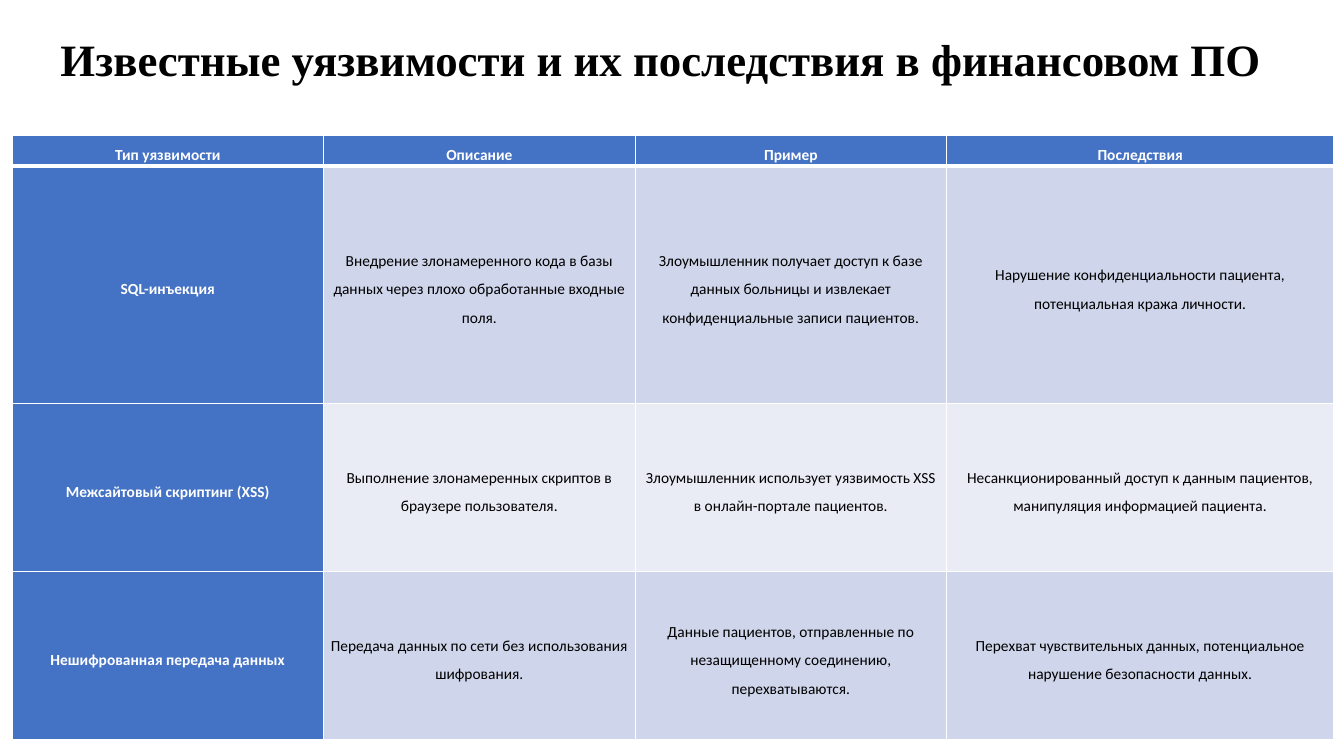
from lxml import etree
from pptx import Presentation
from pptx.dml.color import RGBColor
from pptx.enum.text import MSO_ANCHOR, MSO_AUTO_SIZE, PP_ALIGN
from pptx.oxml.ns import qn
from pptx.util import Inches, Pt

LEFT, CENTER = PP_ALIGN.LEFT, PP_ALIGN.CENTER
TOP, MIDDLE = MSO_ANCHOR.TOP, MSO_ANCHOR.MIDDLE
NO_AUTOFIT = MSO_AUTO_SIZE.NONE

THEME = {
    "ink": "000000",
    "white": "FFFFFF",
    "accent": "4472C4",
    "bands": ["CFD5EA", "E9EBF5"],
    "title_font": "Times New Roman",
    "table_font": "Calibri",
    "title_size": Pt(32),
    "table_size": Pt(11),
    "thin_rule": Pt(1),
    "header_rule": Pt(3),
}


def apply(target, values):
    for name, value in values.items():
        setattr(target, name, value)


def add_border(cell, side, width):
    properties = cell._tc.get_or_add_tcPr()
    line = etree.SubElement(properties, qn(f"a:ln{side}"), w=str(int(width)))
    fill = etree.SubElement(line, qn("a:solidFill"))
    etree.SubElement(fill, qn("a:srgbClr"), val=THEME["white"])


presentation = Presentation()
apply(presentation, {"slide_width": Inches(13.33), "slide_height": Inches(7.5)})
slide = presentation.slides.add_slide(presentation.slide_layouts[5])

heading = slide.shapes.title
apply(heading, {"left": 0, "top": 0, "width": Inches(13.33), "height": Inches(0.81)})
apply(heading.text_frame, {
    "text": "Известные уязвимости и их последствия в финансовом ПО",
    "word_wrap": True,
    "auto_size": NO_AUTOFIT,
    "vertical_anchor": TOP,
})
heading_line = heading.text_frame.paragraphs[0]
apply(heading_line, {"alignment": LEFT, "line_spacing": 1.5, "space_before": Pt(2)})
heading_line._p.get_or_add_pPr().set("marL", str(Inches(0.5)))
heading_font = heading_line.runs[0].font
apply(heading_font, {"name": THEME["title_font"], "size": THEME["title_size"], "bold": True})
heading_font.color.rgb = RGBColor.from_string(THEME["ink"])

vulnerabilities = [
    ["Тип уязвимости", "Описание", "Пример", "Последствия"],
    [
        "SQL-инъекция",
        "Внедрение злонамеренного кода в базы данных через плохо обработанные входные поля.",
        "Злоумышленник получает доступ к базе данных больницы и извлекает конфиденциальные записи пациентов.",
        "Нарушение конфиденциальности пациента, потенциальная кража личности.",
    ],
    [
        "Межсайтовый скриптинг (XSS)",
        "Выполнение злонамеренных скриптов в браузере пользователя.",
        "Злоумышленник использует уязвимость XSS в онлайн-портале пациентов.",
        "Несанкционированный доступ к данным пациентов, манипуляция информацией пациента.",
    ],
    [
        "Нешифрованная передача данных",
        "Передача данных по сети без использования шифрования.",
        "Данные пациентов, отправленные по незащищенному соединению, перехватываются.",
        "Перехват чувствительных данных, потенциальное нарушение безопасности данных.",
    ],
]
column_widths = [3.09, 3.09, 3.09, 3.84]
row_heights = [0.31, 2.35, 1.67, 1.67]

overview = slide.shapes.add_table(
    len(row_heights), len(column_widths),
    Inches(0.12), Inches(1.34), Inches(sum(column_widths)), Inches(sum(row_heights)),
).table
overview.first_col = True
for column, width in zip(overview.columns, column_widths):
    column.width = Inches(width)
for row, height in zip(overview.rows, row_heights):
    row.height = Inches(height)

cell_format = {
    "vertical_anchor": MIDDLE,
    "margin_left": Inches(0.07),
    "margin_right": Inches(0.07),
    "margin_top": 0,
    "margin_bottom": 0,
}
for row_index, entries in enumerate(vulnerabilities):
    for column_index, entry in enumerate(entries):
        is_label = row_index == 0 or column_index == 0
        cell = overview.cell(row_index, column_index)
        apply(cell, {"text": entry, **cell_format})

        for side in "LRTB":
            below_header = (row_index, side) in [(0, "B"), (1, "T")]
            add_border(cell, side, THEME["header_rule" if below_header else "thin_rule"])
        cell.fill.solid()
        band = THEME["bands"][(row_index - 1) % 2]
        cell.fill.fore_color.rgb = RGBColor.from_string(THEME["accent"] if is_label else band)

        paragraph = cell.text_frame.paragraphs[0]
        apply(paragraph, {"alignment": CENTER, "line_spacing": 1.5, "space_after": Pt(8)})
        font = paragraph.runs[0].font
        apply(font, {"name": THEME["table_font"], "size": THEME["table_size"], "bold": is_label})
        font.color.rgb = RGBColor.from_string(THEME["white" if is_label else "ink"])

presentation.save("out.pptx")
